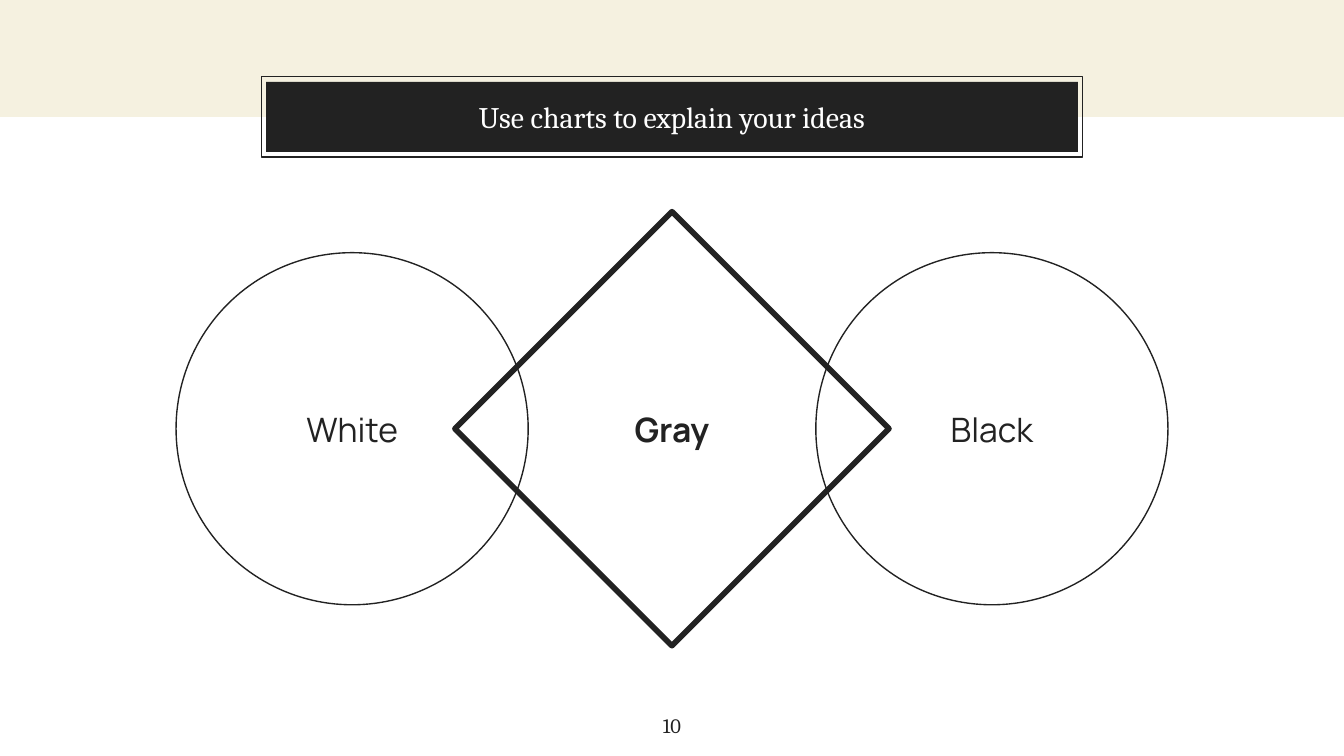
from lxml import etree
from pptx import Presentation
from pptx.dml.color import RGBColor
from pptx.enum.shapes import MSO_SHAPE
from pptx.enum.text import MSO_ANCHOR, PP_ALIGN
from pptx.oxml.ns import qn
from pptx.util import Inches, Pt

RECTANGLE, OVAL, DIAMOND = MSO_SHAPE.RECTANGLE, MSO_SHAPE.OVAL, MSO_SHAPE.DIAMOND
TOP, MIDDLE = MSO_ANCHOR.TOP, MSO_ANCHOR.MIDDLE
CENTER = PP_ALIGN.CENTER

THEME = {
    "ink": RGBColor(0x22, 0x22, 0x22),
    "cream": RGBColor(0xF5, 0xF1, 0xE0),
    "white": RGBColor(0xFF, 0xFF, 0xFF),
    "serif": "Cambria",
    "sans": "Manrope",
    "title_size": 16,
    "label_size": 18,
    "number_size": 11,
    "thin": 0.75,
    "thick": 3,
}

WIDTH = 10
HEIGHT = WIDTH * 9 / 16
MIDDLE_X = WIDTH / 2

deck = Presentation()
deck.slide_width = Inches(WIDTH)
deck.slide_height = Inches(HEIGHT)
page = deck.slides.add_slide(deck.slide_layouts[6])


def add_centered_shape(kind, center_x, center_y, width, height, fill=None, line=None):
    shape = page.shapes.add_shape(
        kind, Inches(center_x - width / 2), Inches(center_y - height / 2),
        Inches(width), Inches(height))
    shape.shadow.inherit = False
    if fill is None:
        shape.fill.background()
    else:
        shape.fill.solid()
        shape.fill.fore_color.rgb = fill
    if line is None:
        shape.line.fill.background()
    else:
        shape.line.color.rgb = THEME["ink"]
        shape.line.width = Pt(line)
        etree.SubElement(shape.line._get_or_add_ln(), qn("a:round"))
    return shape


def write(shape, text, font, size, color, bold=False, anchor=MIDDLE):
    frame = shape.text_frame
    frame.word_wrap = True
    frame.vertical_anchor = anchor
    frame.margin_left = frame.margin_right = Inches(0.1)
    frame.margin_top = frame.margin_bottom = Inches(0.1)
    para = frame.paragraphs[0]
    para.text = text
    para.alignment = CENTER
    para.font.name = font
    para.font.size = Pt(size)
    para.font.bold = bold
    para.font.color.rgb = color


band_height = 0.87
add_centered_shape(RECTANGLE, MIDDLE_X, band_height / 2, WIDTH, band_height, fill=THEME["cream"])

title_y = band_height
add_centered_shape(RECTANGLE, MIDDLE_X, title_y, 6.11, 0.6, line=THEME["thin"])
title = add_centered_shape(RECTANGLE, MIDDLE_X, title_y, 6.04, 0.52, fill=THEME["ink"])
write(title, "Use charts to explain your ideas", THEME["serif"], THEME["title_size"], THEME["white"])

diagram_y = 3.19
spacing = 2.38
for label, kind, step, size, line in (
    ("White", OVAL, -1, 2.62, THEME["thin"]),
    ("Black", OVAL, 1, 2.62, THEME["thin"]),
    ("Gray", DIAMOND, 0, 3.23, THEME["thick"]),
):
    figure = add_centered_shape(kind, MIDDLE_X + step * spacing, diagram_y, size, size, line=line)
    write(figure, label, THEME["sans"], THEME["label_size"], THEME["ink"], bold=kind == DIAMOND)

number_width = 0.6
number = page.shapes.add_textbox(
    Inches(MIDDLE_X - number_width / 2), Inches(5.21), Inches(number_width), Inches(0.33))
write(number, "10", THEME["serif"], THEME["number_size"], THEME["ink"], anchor=TOP)

deck.save("out.pptx")
